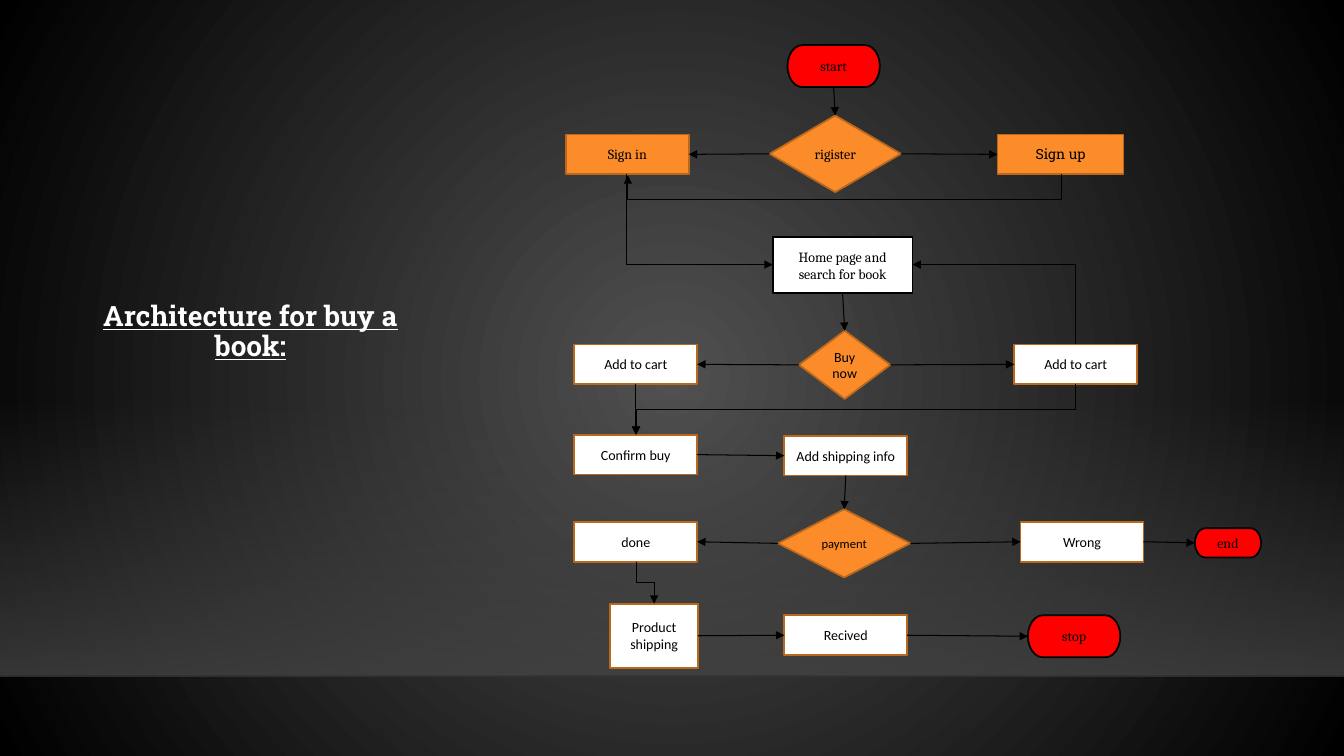
"""Build the flowchart slide for buying a book."""
from lxml import etree
from pptx import Presentation
from pptx.dml.color import RGBColor
from pptx.enum.shapes import MSO_CONNECTOR as Connector, MSO_SHAPE as Shape
from pptx.enum.text import MSO_ANCHOR as Anchor, MSO_AUTO_SIZE as AutoSize, PP_ALIGN as Align
from pptx.oxml import parse_xml
from pptx.oxml.ns import nsdecls, qn
from pptx.util import Pt

PX = 9525
COLORS = {
    "black": "000000", "white": "FFFFFF", "red": "FF0000", "orange": "FB8C29",
    "brown": "BA681E", "glow": "505050", "floor": "454545", "edge": "000001",
}


def write_text(shape, text, font="Calibri", size=10, color="black", bold=False,
               underline=False, anchor=Anchor.MIDDLE, spacing=1.0):
    frame = shape.text_frame
    frame.word_wrap = True
    frame.auto_size = AutoSize.NONE
    frame.vertical_anchor = anchor
    frame.text = text
    for paragraph in frame.paragraphs:
        paragraph.alignment = Align.CENTER
        paragraph.line_spacing = spacing
        run_font = paragraph.runs[0].font
        run_font.name = font
        run_font.size = Pt(size)
        run_font.bold = bold
        run_font.underline = underline
        run_font.color.rgb = RGBColor.from_string(COLORS[color])


def style_line(connector, color="black", width=0.75, arrow=True):
    connector.line.color.rgb = RGBColor.from_string(COLORS[color])
    connector.line.width = Pt(width)
    properties = connector._element.spPr
    if arrow:
        line = properties.find(qn("a:ln"))
        etree.SubElement(line, qn("a:tailEnd"), type="triangle")
    etree.SubElement(properties, qn("a:effectLst"))


presentation = Presentation()
presentation.slide_width = 1280 * PX
presentation.slide_height = 720 * PX
slide = presentation.slides.add_slide(presentation.slide_layouts[5])

background = slide.background.fill
background.gradient()
for stop, color in zip(background.gradient_stops, ("glow", "black")):
    stop.color.rgb = RGBColor.from_string(COLORS[color])
gradient = slide._element.cSld.find(".//" + qn("a:gradFill"))
gradient.replace(gradient.find(qn("a:lin")), parse_xml(
    f'<a:path {nsdecls("a")} path="circle">'
    '<a:fillToRect l="50000" t="50000" r="50000" b="50000"/></a:path>'))

floor = slide.shapes.add_shape(Shape.RECTANGLE, 0, 380 * PX, 1280 * PX, 264 * PX)
floor.shadow.inherit = False
floor.line.fill.background()
floor.fill.gradient()
floor.fill.gradient_angle = 270
for stop, opacity in zip(floor.fill.gradient_stops, (0, 80)):
    stop.color.rgb = RGBColor.from_string(COLORS["floor"])
floor_colors = floor._element.spPr.findall(".//" + qn("a:srgbClr"))
for element, opacity in zip(floor_colors, (0, 80)):
    etree.SubElement(element, qn("a:alpha"), val=str(opacity * 1000))

floor_edge = slide.shapes.add_connector(Connector.STRAIGHT, 0, 644 * PX, 1280 * PX, 644 * PX)
style_line(floor_edge, "edge", 1, arrow=False)
edge_color = floor_edge._element.spPr.find(".//" + qn("a:srgbClr"))
etree.SubElement(edge_color, qn("a:alpha"), val="20000")

title = slide.shapes.title
title.left, title.top, title.width, title.height = 72 * PX, 283 * PX, 333 * PX, 74 * PX
write_text(title, "Architecture for buy a book:", font="Roboto Slab", size=20, color="white",
           bold=True, underline=True, anchor=Anchor.TOP, spacing=0.9)

STYLES = {
    "terminal": (Shape.FLOWCHART_TERMINATOR, "red", "black"),
    "page": (Shape.RECTANGLE, "white", "black"),
    "login": (Shape.RECTANGLE, "orange", "brown"),
    "step": (Shape.RECTANGLE, "white", "brown"),
    "diamond": (Shape.DIAMOND, "orange", "brown"),
    "decision": (Shape.FLOWCHART_DECISION, "orange", "brown"),
}
NODES = [
    ("start", "start", "terminal", 750, 43, 88, 40, {"font": "Cambria"}),
    ("home", "Home page and search for book", "page", 736, 226, 133, 53, {"font": "Cambria"}),
    ("register", "rigister", "diamond", 733, 110, 125, 73, {"font": "Cambria"}),
    ("sign up", "Sign up", "login", 950, 128, 120, 38, {"font": "Roboto Slab"}),
    ("sign in", "Sign in", "login", 539, 128, 117, 38, {"font": "Cambria"}),
    ("buy", "Buy now", "decision", 761, 315, 87, 65, {}),
    ("left cart", "Add to cart", "step", 547, 328, 117, 38, {}),
    ("right cart", "Add to cart", "step", 966, 328, 117, 38, {}),
    ("confirm", "Confirm buy", "step", 547, 414, 117, 38, {}),
    ("info", "Add shipping info", "step", 747, 415, 117, 38, {}),
    ("payment", "payment", "decision", 741, 485, 126, 65, {"size": 9}),
    ("done", "done", "step", 547, 497, 117, 38, {}),
    ("wrong", "Wrong", "step", 972, 497, 117, 38, {}),
    ("product", "Product\nshipping", "step", 581, 575, 84, 61, {}),
    ("received", "Recived", "step", 747, 586, 117, 38, {}),
    ("stop", "stop", "terminal", 979, 586, 88, 40, {"font": "Cambria"}),
    ("end", "end", "terminal", 1138, 503, 63, 28, {"font": "Cambria"}),
]
nodes = {}
for name, text, style, left, top, width, height, text_format in NODES:
    preset, fill, outline = STYLES[style]
    shape = slide.shapes.add_shape(preset, left * PX, top * PX, width * PX, height * PX)
    shape.shadow.inherit = False
    shape.fill.solid()
    shape.fill.fore_color.rgb = RGBColor.from_string(COLORS[fill])
    shape.line.color.rgb = RGBColor.from_string(COLORS[outline])
    shape.line.width = Pt(1.25)
    write_text(shape, text, **text_format)
    nodes[name] = shape

TOP, LEFT, BOTTOM, RIGHT = range(4)
ARROWS = [
    ("start", BOTTOM, "register", TOP),
    ("register", LEFT, "sign in", RIGHT),
    ("register", RIGHT, "sign up", LEFT),
    ("home", BOTTOM, "buy", TOP),
    ("buy", LEFT, "left cart", RIGHT),
    ("buy", RIGHT, "right cart", LEFT),
    ("left cart", BOTTOM, "confirm", TOP),
    ("confirm", RIGHT, "info", LEFT),
    ("info", BOTTOM, "payment", TOP),
    ("payment", LEFT, "done", RIGHT),
    ("payment", RIGHT, "wrong", LEFT),
    ("wrong", RIGHT, "end", LEFT),
    ("product", RIGHT, "received", LEFT),
    ("received", RIGHT, "stop", LEFT),
]
for source, source_side, target, target_side in ARROWS:
    arrow = slide.shapes.add_connector(Connector.STRAIGHT, 0, 0, 0, 0)
    arrow.begin_connect(nodes[source], source_side)
    arrow.end_connect(nodes[target], target_side)
    style_line(arrow)

ELBOWS = [
    (597, 166, 736, 252, 270, "flipH", "bentConnector2", None),
    (1011, 166, 598, 167, 90, None, "bentConnector3", 2400000),
    (1024, 366, 606, 414, 90, None, "bentConnector3", 50000),
    (606, 535, 623, 575, 270, "flipH", "bentConnector3", 50000),
    (1024, 328, 869, 252, 270, "flipV", "bentConnector2", None),
]
for start_x, start_y, end_x, end_y, rotation, flip, preset, bend in ELBOWS:
    elbow = slide.shapes.add_connector(Connector.ELBOW, 0, 0, 0, 0)
    elbow.width = abs(end_y - start_y) * PX
    elbow.height = abs(end_x - start_x) * PX
    elbow.left = ((start_x + end_x) * PX - elbow.width) // 2
    elbow.top = ((start_y + end_y) * PX - elbow.height) // 2
    frame = elbow._element.spPr.find(qn("a:xfrm"))
    frame.set("rot", str(rotation * 60000))
    if flip:
        frame.set(flip, "1")
    geometry = elbow._element.spPr.find(qn("a:prstGeom"))
    geometry.set("prst", preset)
    if bend:
        etree.SubElement(geometry.find(qn("a:avLst")), qn("a:gd"), name="adj1", fmla=f"val {bend}")
    style_line(elbow)

presentation.save("out.pptx")
